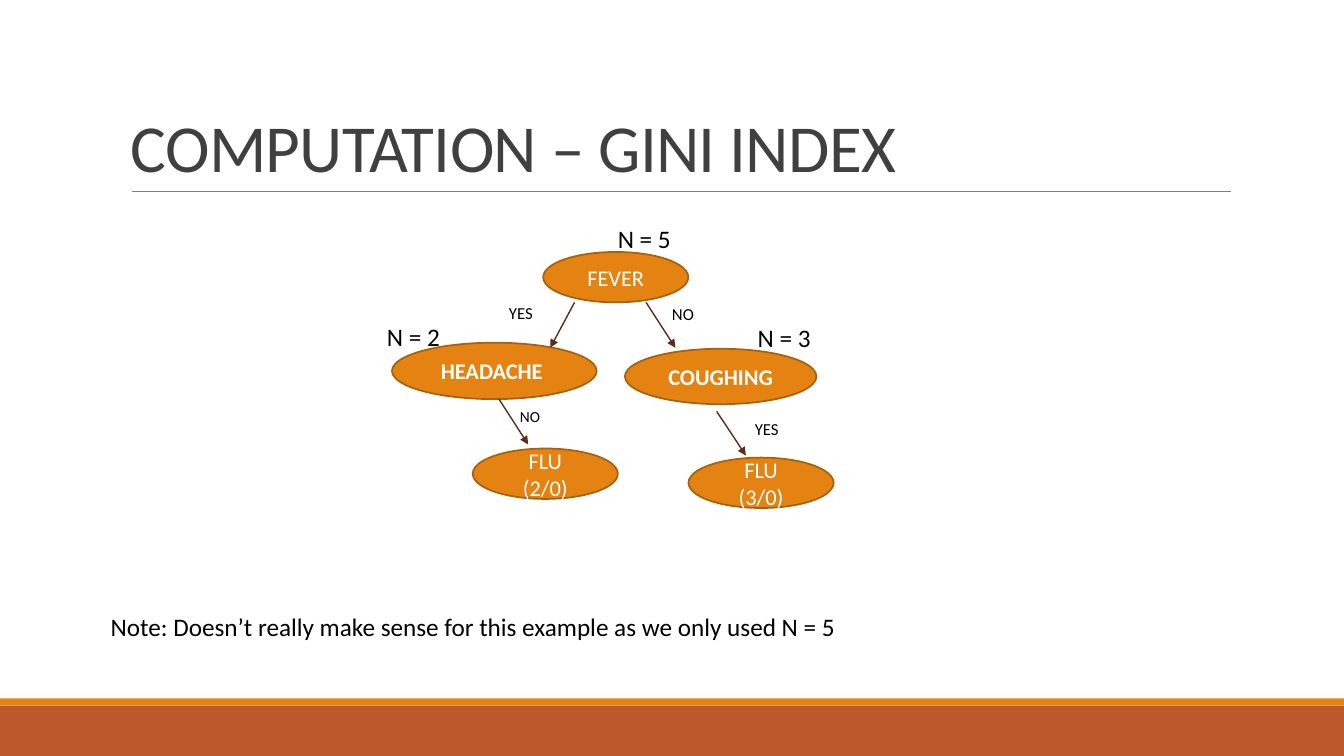
"""Builds a slide with a decision tree for the Gini index computation."""
import pptx
import pptx.dml.color
import pptx.enum.shapes
import pptx.enum.text
import pptx.oxml
import pptx.oxml.ns
import pptx.util

Pt = pptx.util.Pt
SHAPES = pptx.enum.shapes.MSO_SHAPE
ANCHOR = pptx.enum.text.MSO_ANCHOR
ALIGN = pptx.enum.text.PP_ALIGN
COLOURS = {
    name: pptx.dml.color.RGBColor.from_string(value)
    for name, value in {
        "rust": "BD582C", "orange": "E48312", "outline": "A9610D", "arrow": "5E2C16",
        "rule": "808080", "title": "404040", "white": "FFFFFF", "black": "000000",
    }.items()
}


def write(box, text, colour, anchor=ANCHOR.TOP, align=ALIGN.LEFT, wrap=True, **font):
    """Puts one formatted line of text in a box and returns its paragraph."""
    box.text_frame.word_wrap = wrap
    box.text_frame.vertical_anchor = anchor
    para = box.text_frame.paragraphs[0]
    para.alignment = align
    span = para.add_run()
    span.text = text
    span.font.color.rgb = COLOURS[colour]
    for name, value in {"name": "Calibri", **font}.items():
        setattr(span.font, name, value)
    return para


def draw_line(start, end, colour, width):
    """Draws a straight line without a shadow and returns its properties."""
    line = page.shapes.add_connector(
        pptx.enum.shapes.MSO_CONNECTOR.STRAIGHT, *(Pt(value) for value in start + end))
    line.line.color.rgb = COLOURS[colour]
    line.line.width = Pt(width)
    properties = line._element.spPr
    properties.append(pptx.oxml.parse_xml(f'<a:effectLst {pptx.oxml.ns.nsdecls("a")}/>'))
    return properties


deck = pptx.Presentation()
deck.slide_width, deck.slide_height = Pt(960), Pt(540)
page = deck.slides.add_slide(deck.slide_layouts[6])

for top, height, colour in [(504, 36, "rust"), (498.8, 5.2, "orange")]:
    band = page.shapes.add_shape(SHAPES.RECTANGLE, 0, Pt(top), Pt(960), Pt(height))
    band.shadow.inherit = False
    band.fill.solid()
    band.fill.fore_color.rgb = COLOURS[colour]
    band.line.fill.background()

draw_line((94.3, 136.8), (879.1, 136.8), "rule", 0.5)

title = page.shapes.add_textbox(Pt(86.4), Pt(22.3), Pt(792), Pt(114.5))
heading = write(title, "COMPUTATION – GINI INDEX", "title", ANCHOR.BOTTOM, size=Pt(48))
heading.line_spacing = 0.85
heading.runs[0]._r.get_or_add_rPr().set("spc", "-50")

nodes = [
    ("FEVER", 388, 180, 103.7, 36, False),
    ("COUGHING", 446.4, 249.1, 136.8, 39.6, True),
    ("HEADACHE ", 280, 244.8, 146.2, 40.3, True),
    ("FLU (2/0)", 337.7, 320.4, 103.7, 36, False),
    ("FLU (3/0)", 491.8, 326.9, 103.7, 36, False),
]
for text, left, top, width, height, bold in nodes:
    node = page.shapes.add_shape(SHAPES.OVAL, Pt(left), Pt(top), Pt(width), Pt(height))
    node.shadow.inherit = False
    node.fill.solid()
    node.fill.fore_color.rgb = COLOURS["orange"]
    node.line.color.rgb = COLOURS["outline"]
    node.line.width = Pt(1.25)
    write(node, text, "white", ANCHOR.MIDDLE, ALIGN.CENTER, size=Pt(16), bold=bold)

branches = [
    ((461.5, 216), (482.4, 248.4)),
    ((410.4, 216), (393.1, 248.4)),
    ((356.4, 285.1), (377.3, 317.5)),
    ((511.9, 293.8), (532.8, 325.4)),
]
for start, end in branches:
    outline = draw_line(start, end, "arrow", 1).find(pptx.oxml.ns.qn("a:ln"))
    outline.append(pptx.oxml.parse_xml(
        f'<a:tailEnd {pptx.oxml.ns.nsdecls("a")} type="triangle"/>'))

labels = [
    (" NO", 470.2, 213.1, 73.4, 21.6, 12, True),
    ("YES", 356.4, 212.4, 69.8, 21.6, 12, True),
    ("NO", 364.3, 287.3, 28.8, 20.9, 11, False),
    ("YES", 532.1, 295.9, 69.8, 21.6, 12, True),
    ("N = 3", 534.2, 226.8, 72, 28.8, 18, True),
    ("N = 5", 434.2, 156.2, 72, 28.8, 18, True),
    ("N = 2", 269.3, 226.1, 72, 28.8, 18, True),
    ("Note: Doesn’t really make sense for this example as we only used N = 5",
     72, 433.4, 538.6, 28.8, 18, False),
]
for text, left, top, width, height, size, wrap in labels:
    label = page.shapes.add_textbox(Pt(left), Pt(top), Pt(width), Pt(height))
    label.text_frame.auto_size = pptx.enum.text.MSO_AUTO_SIZE.SHAPE_TO_FIT_TEXT
    write(label, text, "black", wrap=wrap, size=Pt(size))

deck.save("out.pptx")
